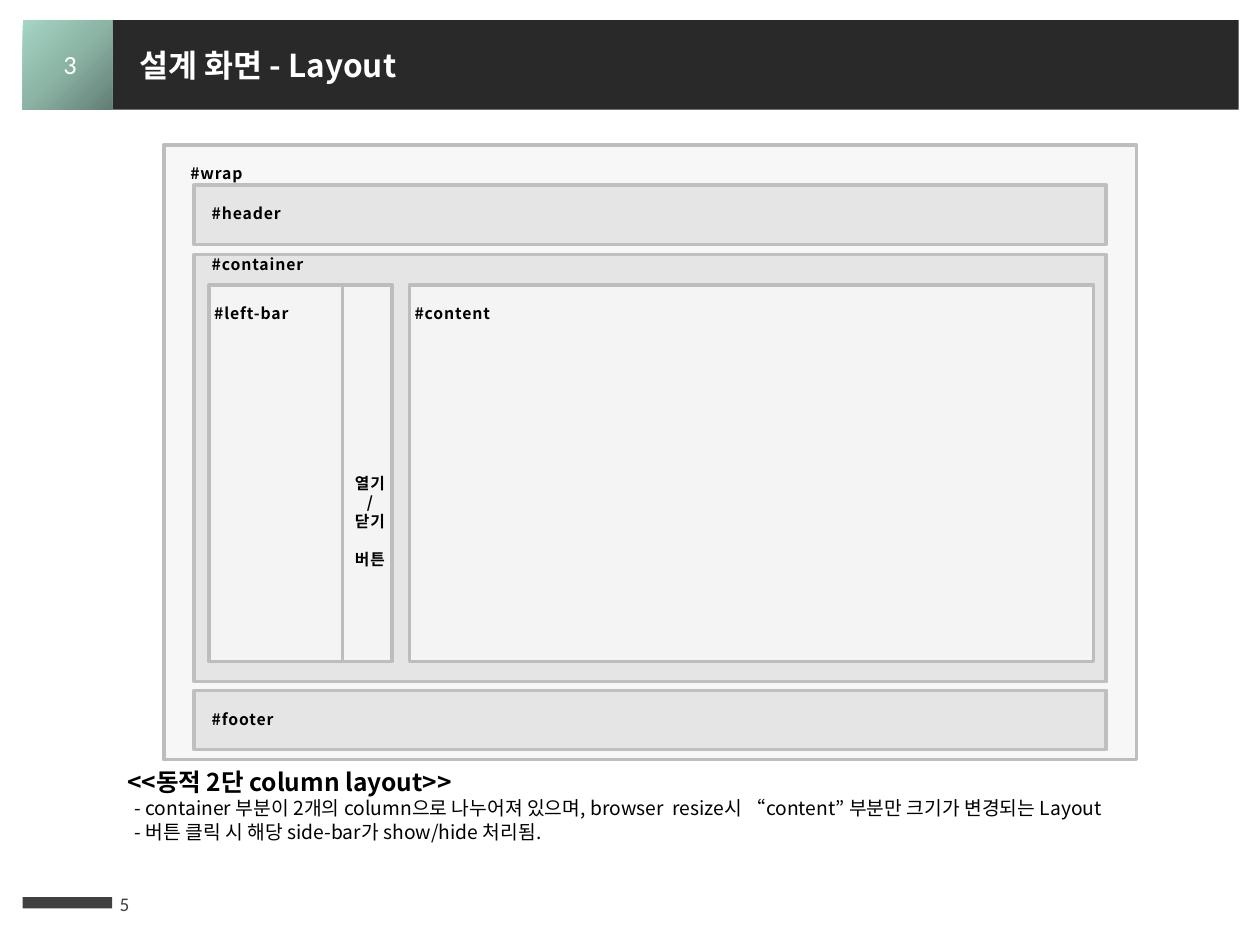
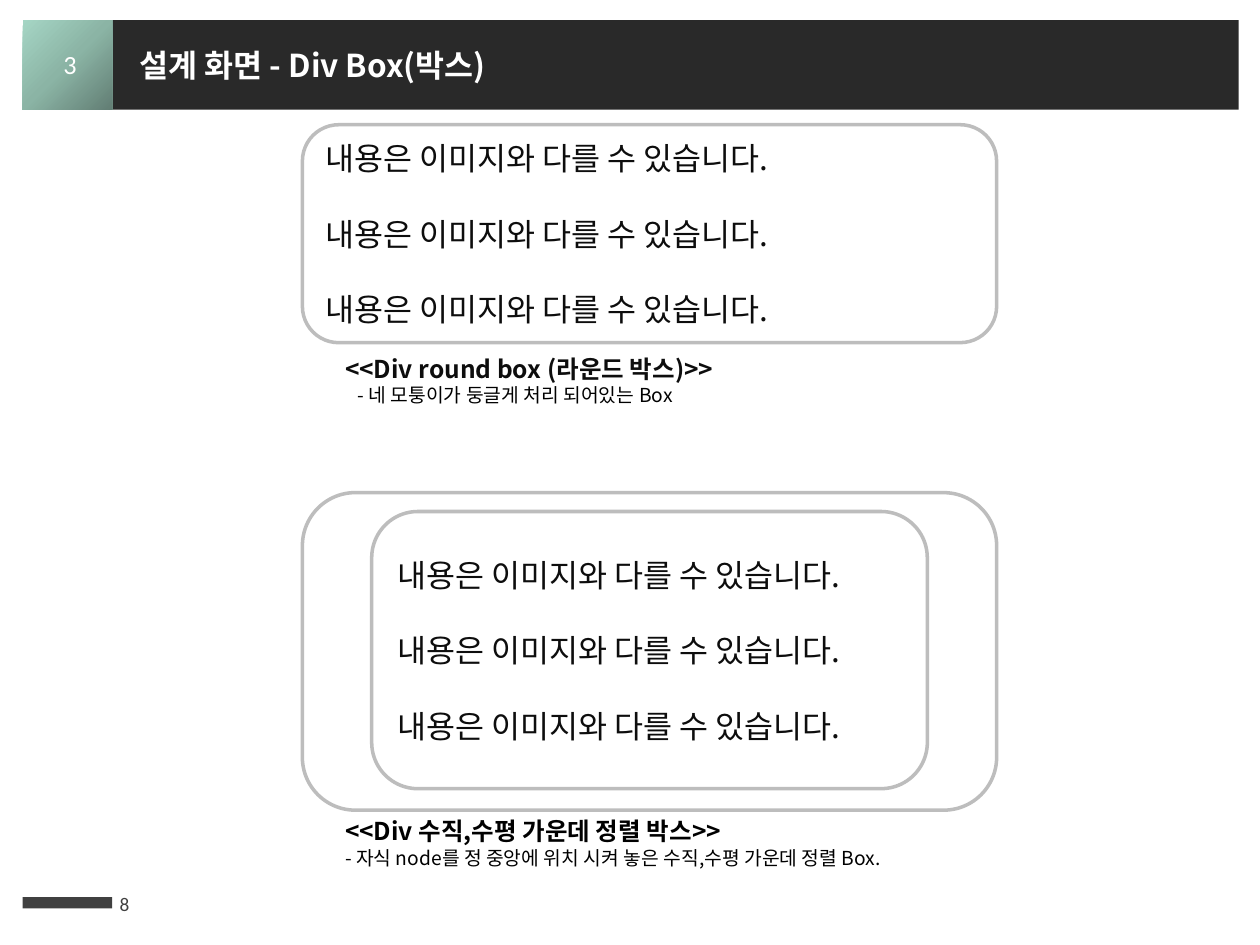
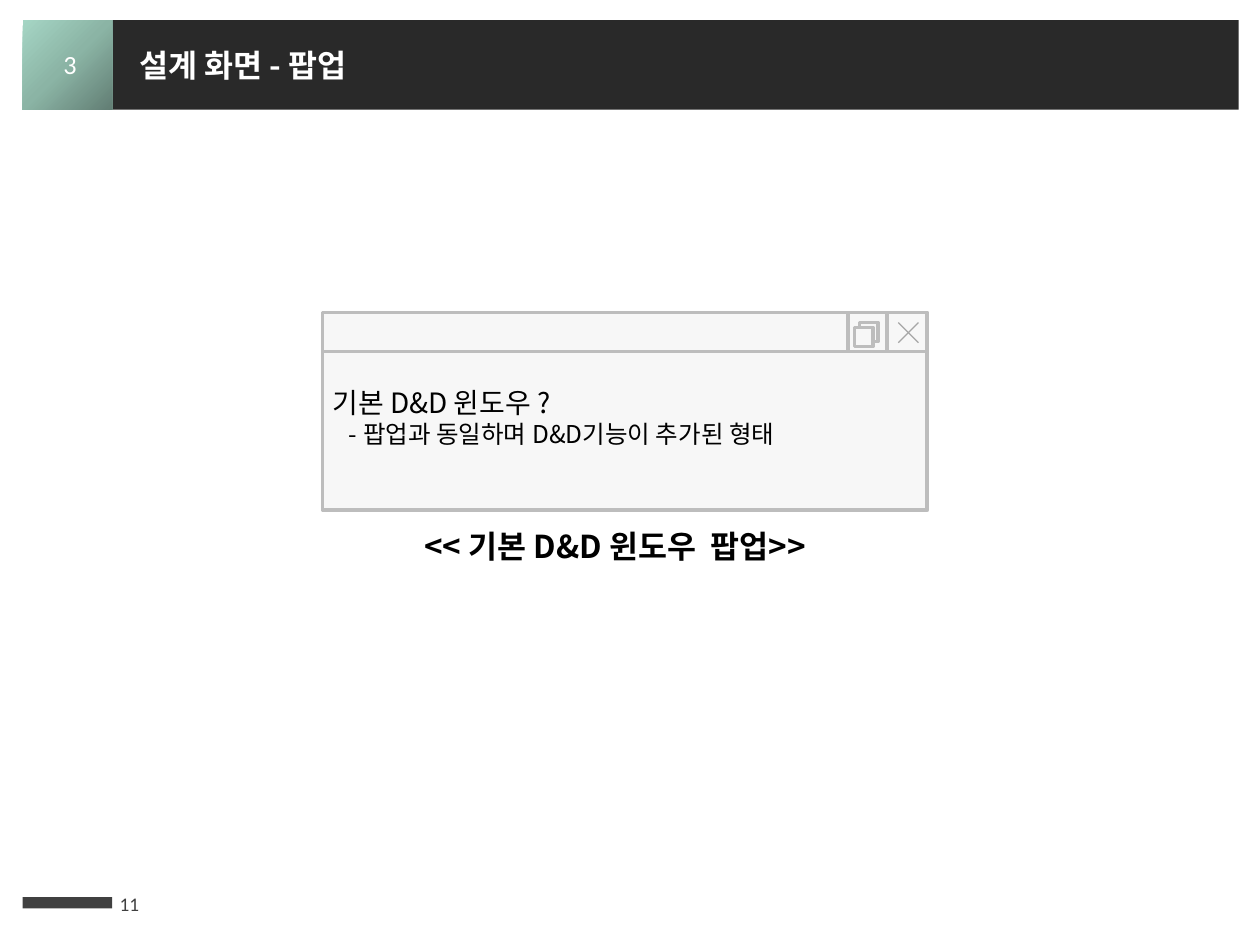
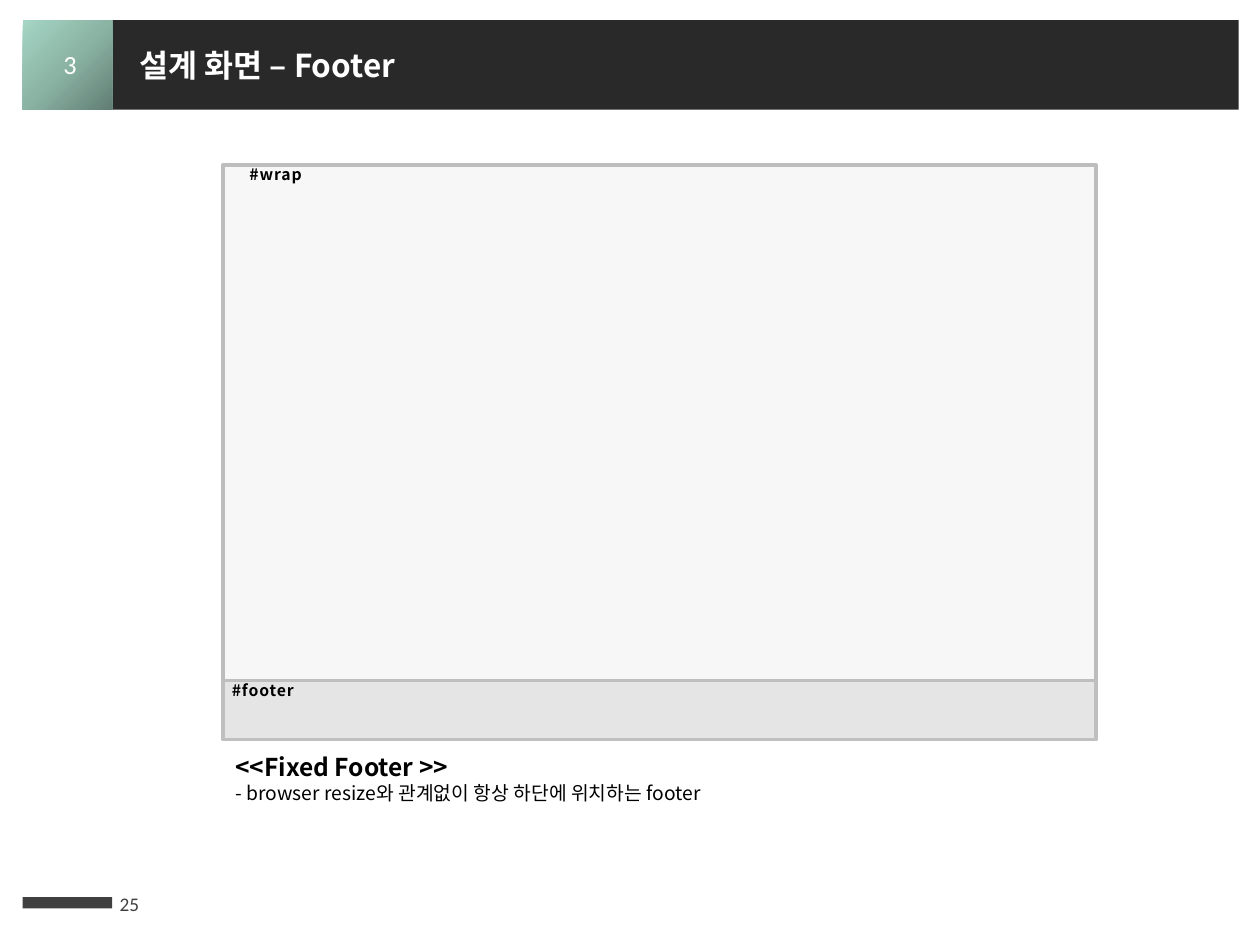
import dataclasses

import lxml.etree
import pptx
import pptx.dml.color
import pptx.enum.shapes
import pptx.enum.text
import pptx.oxml
import pptx.oxml.ns
import pptx.util

Inches = pptx.util.Inches
Pt = pptx.util.Pt
SHAPES = pptx.enum.shapes.MSO_SHAPE
ALIGN = pptx.enum.text.PP_ALIGN
ANCHOR = pptx.enum.text.MSO_ANCHOR
qn = pptx.oxml.ns.qn

# Shared look
KOREAN_FONT = "Noto Sans CJK KR"
NUMBER_FONT = "Calibri"
BLACK, INK, WHITE = "000000", "0D0D0D", "FFFFFF"
BAND, FOOTER_BAR = "292929", "404040"
PALE, GREY = "F7F7F7", "E5E5E5"
EDGE, DARK_EDGE, CROSS = "BDBDBD", "BFBFBF", "A6A6A6"
BADGE_STOPS = [(0, "627E74"), (50, "8BB4A5"), (100, "A5D5C4")]
MARGIN, BADGE_SIZE, BAND_TOP = 0.18, 0.71, 0.16
SECTION_NUMBER = "3"
LABEL_LINE = 0.15  # height of one label line


@dataclasses.dataclass
class Line:
    text: str
    size: float
    bold: bool = False
    colour: str = BLACK
    font: str = KOREAN_FONT
    align: ALIGN = ALIGN.LEFT
    indent: float = 0
    before: float = 0
    spacing: float = 0


def rgb(colour):
    return pptx.dml.color.RGBColor.from_string(colour)


# Text
def write(shape, lines, insets=(0.1, 0.05, 0.1, 0.05), anchor=ANCHOR.TOP):
    frame = shape.text_frame
    frame.word_wrap = True
    frame.vertical_anchor = anchor
    frame.margin_left, frame.margin_top, frame.margin_right, frame.margin_bottom = map(Inches, insets)
    frame.text = "\n".join(line.text for line in lines)
    for paragraph, line in zip(frame.paragraphs, lines):
        paragraph.alignment = line.align
        if line.before:
            paragraph.space_before = Pt(line.before)
        if line.indent:
            properties = paragraph._p.get_or_add_pPr()
            properties.set("marL", str(Inches(line.indent)))
            properties.set("indent", "0")
        for run in paragraph.runs:
            run.font.size = Pt(line.size)
            run.font.bold = line.bold
            run.font.name = line.font
            run.font.color.rgb = rgb(line.colour)
            properties = run._r.get_or_add_rPr()
            lxml.etree.SubElement(properties, qn("a:ea")).set("typeface", line.font)
            if line.spacing:
                properties.set("spc", str(int(line.spacing * 100)))


def add_text(slide, box, lines, anchor=ANCHOR.TOP):
    shape = slide.shapes.add_textbox(*map(Inches, box))
    write(shape, lines, anchor=anchor)
    return shape


def add_caption(slide, box, heading, details=(), indent=0, size=14, colour=BLACK):
    lines = [Line(heading, size, True, colour)]
    lines += [Line(detail, 11, indent=indent) for detail in details]
    add_text(slide, box, lines)


# Shapes
def add_box(slide, box, fill=PALE, edge=EDGE, kind=SHAPES.RECTANGLE, opacity=None):
    shape = slide.shapes.add_shape(kind, *map(Inches, box))
    shape.shadow.inherit = False
    shape.fill.solid()
    shape.fill.fore_color.rgb = rgb(fill)
    if opacity is not None:
        colour = shape._element.spPr.find(qn("a:solidFill"))[0]
        lxml.etree.SubElement(colour, qn("a:alpha")).set("val", str(opacity * 1000))
    if edge:
        shape.line.color.rgb = rgb(edge)
        shape.line.width = Pt(2)
    else:
        shape.line.fill.background()
    return shape


def add_region(slide, box, label, fill=PALE, edge=EDGE, indent=0, top=LABEL_LINE, opacity=None):
    """A layout area with its element id in the upper left corner."""
    shape = add_box(slide, box, fill, edge, opacity=opacity)
    write(shape, [Line(label, 9, True, indent=indent, spacing=0.5)], (0.04, top, 0, 0))


def add_round_box(slide, box, lines=()):
    shape = add_box(slide, box, WHITE, kind=SHAPES.ROUNDED_RECTANGLE)
    if lines:
        write(shape, lines, anchor=ANCHOR.MIDDLE)


def add_line(slide, start, end):
    line = slide.shapes.add_connector(
        pptx.enum.shapes.MSO_CONNECTOR.STRAIGHT, *map(Inches, start + end))
    line.line.color.rgb = rgb(CROSS)
    line.line.width = Pt(0.75)
    lxml.etree.SubElement(line._element.spPr, qn("a:effectLst"))


def fill_radial(shape, stops):
    """Gradient that spreads from the lower right corner."""
    shape.fill.background()
    stop_xml = "".join(
        f'<a:gs pos="{position * 1000}"><a:srgbClr val="{colour}"/></a:gs>'
        for position, colour in stops)
    gradient = pptx.oxml.parse_xml(
        f'<a:gradFill {pptx.oxml.ns.nsdecls("a")} rotWithShape="1"><a:gsLst>{stop_xml}</a:gsLst>'
        '<a:path path="circle"><a:fillToRect l="100000" t="100000"/></a:path></a:gradFill>')
    properties = shape._element.spPr
    properties.replace(properties.find(qn("a:noFill")), gradient)


# Frame of every slide
def add_slide(presentation, title, page):
    slide = presentation.slides.add_slide(presentation.slide_layouts[6])
    band_left = MARGIN + BADGE_SIZE
    add_box(slide, (band_left, BAND_TOP, 8.94, BADGE_SIZE), BAND, None)
    badge = add_box(slide, (MARGIN, BAND_TOP, BADGE_SIZE, BADGE_SIZE), edge=None)
    fill_radial(badge, BADGE_STOPS)
    add_box(slide, (MARGIN, 7.12, BADGE_SIZE, 0.09), FOOTER_BAR, None)
    add_text(slide, (0.85, 6.97, 0.59, 0.4),
             [Line(str(page), 11, colour=FOOTER_BAR, font=NUMBER_FONT)], ANCHOR.MIDDLE)
    add_caption(slide, (1.01, 0.32, 6.99, 0.4), title, size=18, colour=WHITE)
    add_text(slide, (0.28, 0.33, 0.55, 0.35),
             [Line(SECTION_NUMBER, 15, colour=WHITE, font=NUMBER_FONT, align=ALIGN.CENTER)])
    return slide


# Slides
def build_layout(presentation):
    slide = add_slide(presentation, "설계 화면 - Layout", 5)
    left, width, bar_height = 1.54, 7.24, 0.47
    add_region(slide, (1.3, 1.15, 7.72, 4.88), "#wrap", indent=0.17)
    add_region(slide, (left, 2.02, width, 3.39), "#container", GREY, DARK_EDGE, 0.1, 0)
    for top, label in [(1.47, "#header"), (5.48, "#footer")]:
        add_region(slide, (left, top, width, bar_height), label, GREY, DARK_EDGE, 0.1)

    # Columns of the container
    top, height = 2.26, 2.99
    for column_left, column_width, label in [(3.25, 5.43, "#content"), (1.66, 1.06, "#left-bar")]:
        add_region(slide, (column_left, top, column_width, height), label, WHITE, opacity=60)
    toggle = add_box(slide, (2.72, top, 0.39, height), WHITE, opacity=60)
    words = [("열기", 0), ("/", 0), ("닫기", 0), ("버튼", 11)]
    write(toggle, [Line(word, 9, True, align=ALIGN.CENTER, before=before, spacing=0.5)
                   for word, before in words], (0.04, 10 * LABEL_LINE, 0, 0))

    add_caption(slide, (0.91, 6.04, 8.78, 0.71), "<<동적 2단 column layout>>", [
        "- container 부분이 2개의 column으로 나누어져 있으며, browser  resize시 “content” 부분만 크기가 변경되는 Layout",
        "- 버튼 클릭 시 해당 side-bar가 show/hide 처리됨.",
    ], indent=0.06)


def build_boxes(presentation):
    slide = add_slide(presentation, "설계 화면 - Div Box(박스)", 8)
    sample = [Line("내용은 이미지와 다를 수 있습니다.", 18, colour=INK, before=before)
              for before in (0, 21.5, 21.5)]
    add_round_box(slide, (2.4, 0.99, 5.51, 1.73), sample)
    add_caption(slide, (2.64, 2.76, 3.94, 0.52), "<<Div round box (라운드 박스)>>",
                ["- 네 모퉁이가 둥글게 처리 되어있는 Box"], indent=0.1, colour=INK)
    add_round_box(slide, (2.4, 3.91, 5.51, 2.52))
    add_round_box(slide, (2.95, 4.06, 4.41, 2.2), sample)
    add_caption(slide, (2.64, 6.43, 5.04, 0.52), "<<Div 수직,수평 가운데 정렬 박스>>",
                ["- 자식 node를 정 중앙에 위치 시켜 놓은 수직,수평 가운데 정렬 Box."])


def build_popup(presentation):
    slide = add_slide(presentation, "설계 화면 - 팝업", 11)
    left, top, width, button = 2.56, 2.48, 4.8, 0.31
    add_box(slide, (left, top, width, 0.32))
    add_box(slide, (6.73, top, button, button))
    body = add_box(slide, (left, top + button, width, 1.26))
    write(body, [
        Line("기본 D&D 윈도우 ?", 16, indent=0.04),
        Line("- 팝업과 동일하며 D&D기능이 추가된 형태", 14, indent=0.17),
    ], (0.04, 0.27, 0, 0))

    # Restore and close icons
    for icon_left, icon_top in [(6.82, 2.56), (6.78, 2.6)]:
        add_box(slide, (icon_left, icon_top, 0.15, 0.15))
    add_line(slide, (7.29, 2.56), (7.13, 2.72))
    add_line(slide, (7.29, 2.72), (7.13, 2.56))

    add_caption(slide, (3.27, 4.13, 3.7, 0.4), "<< 기본 D&D 윈도우  팝업>>", size=18)


def build_footer(presentation):
    slide = add_slide(presentation, "설계 화면 – Footer", 25)
    left, width = 1.77, 6.93
    add_region(slide, (left, 1.31, width, 4.09), "#wrap", indent=0.17, top=0)
    add_region(slide, (left, 5.4, width, 0.47), "#footer", GREY, DARK_EDGE, 0.03, 0)
    add_caption(slide, (left, 5.92, 4.33, 0.52), "<<Fixed Footer >>",
                ["- browser resize와 관계없이 항상 하단에 위치하는 footer"])


def main():
    presentation = pptx.Presentation()
    presentation.slide_width = Inches(10)
    presentation.slide_height = Inches(7.5)
    build_layout(presentation)
    build_boxes(presentation)
    build_popup(presentation)
    build_footer(presentation)
    presentation.save("out.pptx")


main()
